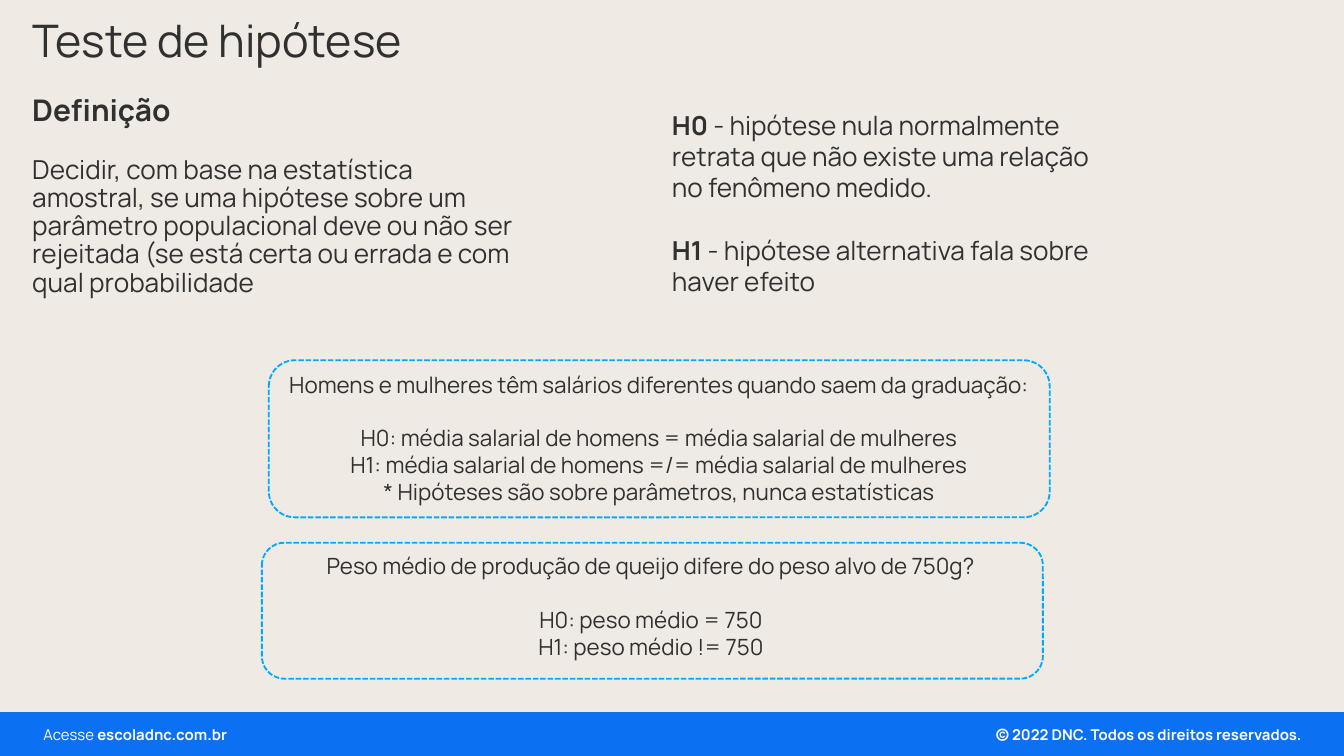
from pptx import Presentation
from pptx.dml.color import RGBColor
from pptx.enum.dml import MSO_LINE
from pptx.enum.shapes import MSO_SHAPE
from pptx.enum.text import MSO_ANCHOR, PP_ALIGN
from pptx.util import Cm, Pt

INK, WHITE, BLUE, SKY, SAND = "303030", "FFFFFF", "0C70F2", "00ABFF", "EFEBE4"
WIDE, TIGHT = (0.25, 0.13), (0.18, 0.1)
LEFT, FOOTER_TOP = 0.43, 13.61


def rgb(value):
    return RGBColor.from_string(value)


class Deck:
    """Draws styled elements on the current slide."""

    font = "Manrope"

    def __init__(self, prs):
        self.s = prs.slides.add_slide(prs.slide_layouts[6])
        self.s.background.fill.solid()
        self.s.background.fill.fore_color.rgb = rgb(SAND)

    def shape(self, kind, at, fill=None, line=None):
        sp = self.s.shapes.add_shape(kind, *map(Cm, at))
        sp.shadow.inherit = False
        if fill:
            sp.fill.solid()
            sp.fill.fore_color.rgb = rgb(fill)
        else:
            sp.fill.background()
        if line:
            sp.line.color.rgb = rgb(line)
            sp.line.width = Pt(1)
            sp.line.dash_style = MSO_LINE.SQUARE_DOT
        else:
            sp.line.fill.background()

    def text(self, at, paragraphs, size, color=INK, align=PP_ALIGN.LEFT,
             anchor=MSO_ANCHOR.TOP, insets=WIDE, spacing=None, gap=0):
        tf = self.s.shapes.add_textbox(*map(Cm, at)).text_frame
        tf.word_wrap = True
        tf.vertical_anchor = anchor
        tf.margin_left = tf.margin_right = Cm(insets[0])
        tf.margin_top = tf.margin_bottom = Cm(insets[1])
        for i, runs in enumerate(paragraphs):
            p = tf.add_paragraph() if i else tf.paragraphs[0]
            p.alignment = align
            p.line_spacing = spacing
            if i == 1 and gap:
                p.space_before = Pt(gap)
            for content, bold in runs:
                r = p.add_run()
                r.text = content
                r.font.name = self.font
                r.font.size = Pt(size)
                r.font.bold = bold
                r.font.color.rgb = rgb(color)

    def block(self, at, content, size, bold=False):
        self.text(at, [[(content, bold)]], size, anchor=MSO_ANCHOR.MIDDLE,
                  insets=TIGHT, spacing=0.9)

    def footer(self, left, width, runs, align):
        self.text((left, FOOTER_TOP, width, 0.53), [runs], 8, WHITE, align,
                  insets=TIGHT)

    def example(self, frame, text_at, lines):
        self.text(text_at, [[(line, False)] for line in lines], 12,
                  align=PP_ALIGN.CENTER, gap=14.4)
        self.shape(MSO_SHAPE.ROUNDED_RECTANGLE, frame, line=SKY)


def main():
    prs = Presentation()
    prs.slide_width, prs.slide_height = Cm(25.4), Cm(14.29)
    deck = Deck(prs)

    deck.shape(MSO_SHAPE.RECTANGLE, (0, 13.46, 25.4, 0.83), fill=BLUE)
    deck.footer(18.01, 6.78, [("© 2022 DNC. Todos os direitos reservados.", True)],
                PP_ALIGN.RIGHT)
    deck.footer(0.64, 6.25, [("Acesse ", False), ("escoladnc.com.br", True)],
                PP_ALIGN.LEFT)

    deck.block((LEFT, 0.2, 11.18, 1.22), "Teste de hipótese", 24)
    deck.block((LEFT, 2.82, 9.5, 2.95),
               "Decidir, com base na estatística amostral, se uma hipótese sobre "
               "um parâmetro populacional deve ou não ser rejeitada (se está "
               "certa ou errada e com qual probabilidade", 14)
    deck.block((LEFT, 1.68, 3.1, 0.86), "Definição", 16, True)

    deck.text((12.45, 1.93, 8.56, 3.84), [
        [("H0 ", True), ("- hipótese nula normalmente retrata que não existe "
                         "uma relação no fenômeno medido.", False)],
        [("H1", True), (" - hipótese alternativa fala sobre haver efeito", False)],
    ], 14, gap=16.8)

    deck.example((5.08, 6.81, 14.76, 2.97), (5.08, 6.88, 14.76, 2.9), [
        "Homens e mulheres têm salários diferentes quando saem da graduação:",
        "H0: média salarial de homens = média salarial de mulheres",
        "H1: média salarial de homens =/= média salarial de mulheres",
        "* Hipóteses são sobre parâmetros, nunca estatísticas",
    ])
    deck.example((4.95, 10.26, 14.76, 2.57), (4.8, 10.31, 15.01, 2.31), [
        "Peso médio de produção de queijo difere do peso alvo de 750g?",
        "H0: peso médio = 750",
        "H1: peso médio != 750",
    ])
    prs.save("out.pptx")


if __name__ == "__main__":
    main()
